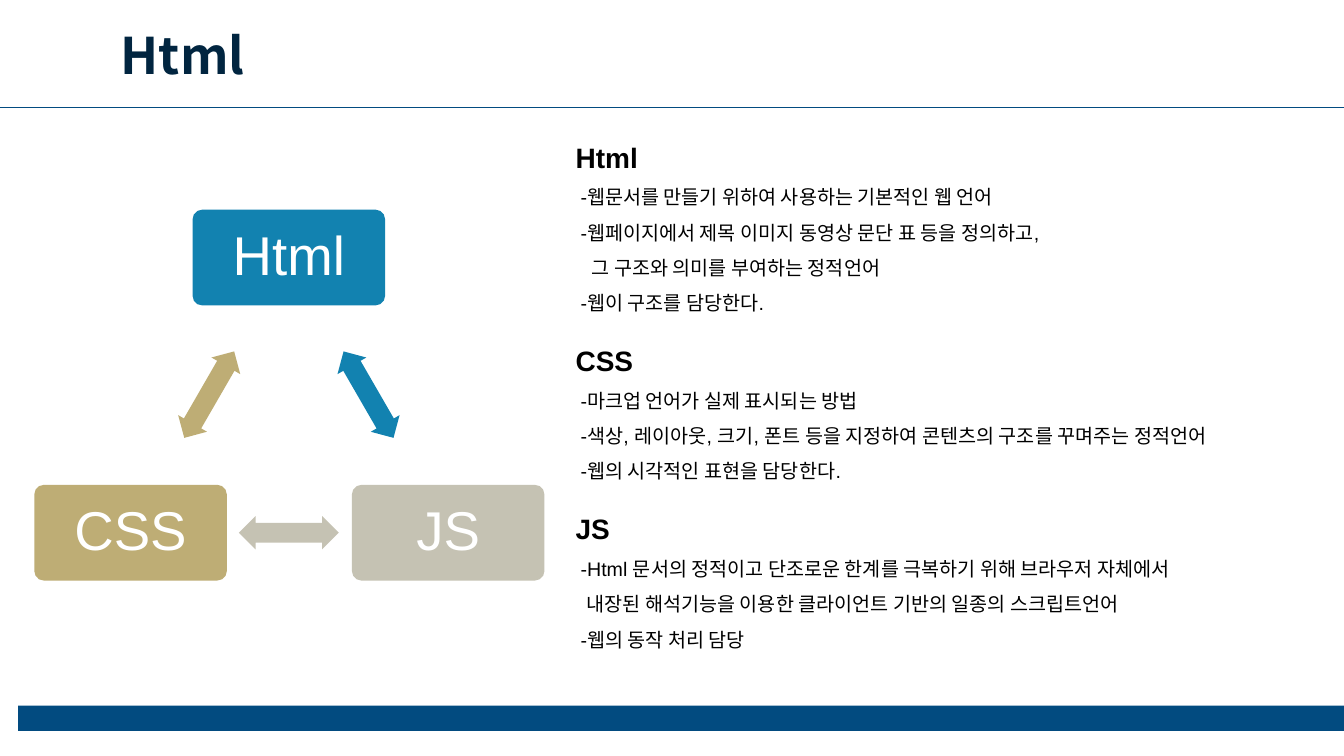
from lxml import etree
from pptx import Presentation
from pptx.dml.color import RGBColor
from pptx.enum.shapes import MSO_CONNECTOR, MSO_SHAPE
from pptx.enum.text import MSO_ANCHOR, PP_ALIGN
from pptx.oxml.ns import qn
from pptx.util import Inches, Pt

RECT = MSO_SHAPE.RECTANGLE
ROUNDED = MSO_SHAPE.ROUNDED_RECTANGLE
DOUBLE_ARROW = MSO_SHAPE.LEFT_RIGHT_ARROW
STRAIGHT = MSO_CONNECTOR.STRAIGHT
CENTER = PP_ALIGN.CENTER
MIDDLE = MSO_ANCHOR.MIDDLE

COLORS = {
    "title": "012540",
    "navy": "024B80",
    "blue": "1282B0",
    "gray": "C5C2B3",
    "gold": "BEAD75",
    "black": "000000",
    "white": "FFFFFF",
}
TITLE_FONT = "Noto Sans CJK KR"
BODY_FONT = "Arial"

SECTIONS = [
    ("Html", [
        (0.05, "-웹문서를 만들기 위하여 사용하는 기본적인 웹 언어"),
        (0.05, "-웹페이지에서 제목 이미지 동영상 문단 표 등을 정의하고,"),
        (0.16, "그 구조와 의미를 부여하는 정적언어"),
        (0.05, "-웹이 구조를 담당한다."),
    ]),
    ("CSS", [
        (0.05, "-마크업 언어가 실제 표시되는 방법"),
        (0.05, "-색상, 레이아웃, 크기, 폰트 등을 지정하여 콘텐츠의 구조를 꾸며주는 정적언어"),
        (0.05, "-웹의 시각적인 표현을 담당한다."),
    ]),
    ("JS", [
        (0.05, "-Html 문서의 정적이고 단조로운 한계를 극복하기 위해 브라우저 자체에서"),
        (0.11, "내장된 해석기능을 이용한 클라이언트 기반의 일종의 스크립트언어"),
        (0.05, "-웹의 동작 처리 담당"),
    ]),
]
NODES = [
    ("Html", 1.91, 2.08, "blue"),
    ("JS", 3.49, 4.81, "gray"),
    ("CSS", 0.34, 4.81, "gold"),
]
ARROWS = [
    (3.16, 3.75, 60, "blue"),
    (2.37, 5.12, 180, "gray"),
    (1.58, 3.75, 300, "gold"),
]


class SlideBuilder:
    def __init__(self, slide):
        self.slide = slide

    def color(self, name):
        return RGBColor.from_string(COLORS[name])

    def style(self, paragraph, size, color, font=BODY_FONT, bold=False):
        for run in paragraph.runs:
            run.font.name = font
            run.font.size = Pt(size)
            run.font.bold = bold
            run.font.color.rgb = self.color(color)

    def shape(self, kind, left, top, width, height, fill):
        shape = self.slide.shapes.add_shape(
            kind, Inches(left), Inches(top), Inches(width), Inches(height))
        shape.shadow.inherit = False
        shape.fill.solid()
        shape.fill.fore_color.rgb = self.color(fill)
        shape.line.fill.background()
        return shape

    def text_frame(self, left, top, width, height):
        frame = self.slide.shapes.add_textbox(
            Inches(left), Inches(top), Inches(width), Inches(height)).text_frame
        frame.word_wrap = True
        return frame

    def title(self, text):
        heading = self.text_frame(1.1, 0.19, 4.12, 0.71).paragraphs[0]
        heading.text = text
        self.style(heading, 36, "title", TITLE_FONT, True)

    def rule(self, top, width):
        rule = self.slide.shapes.add_connector(
            STRAIGHT, 0, Inches(top), Inches(width), Inches(top))
        rule.line.color.rgb = self.color("navy")
        rule.line.width = Pt(0.5)
        etree.SubElement(rule._element.spPr, qn("a:effectLst"))

    def sections(self, sections):
        frame = self.text_frame(5.61, 1.34, 7.35, 5.76)
        for index, (name, points) in enumerate(sections):
            heading = frame.add_paragraph() if index else frame.paragraphs[0]
            heading.text = name
            if index:
                heading.space_before = Pt(20.5)
            self.style(heading, 20, "black", bold=True)
            for indent, text in points:
                point = frame.add_paragraph()
                point.text = text
                point.line_spacing = 1.5
                properties = point._p.get_or_add_pPr()
                properties.set("marL", str(Inches(indent)))
                properties.set("indent", "0")
                self.style(point, 14, "black")

    def node(self, text, left, top, fill):
        node = self.shape(ROUNDED, left, top, 1.91, 0.95, fill)
        node.adjustments[0] = 0.1
        frame = node.text_frame
        frame.vertical_anchor = MIDDLE
        frame.text = text
        label = frame.paragraphs[0]
        label.alignment = CENTER
        label.line_spacing = 0.9
        self.style(label, 39, "white")

    def arrow(self, left, top, angle, fill):
        arrow = self.shape(DOUBLE_ARROW, left, top, 0.99, 0.33, fill)
        arrow.adjustments[0] = 0.6
        arrow.adjustments[1] = 0.5
        arrow.rotation = angle


def main():
    deck = Presentation()
    deck.slide_width = Inches(13.33)
    deck.slide_height = Inches(7.5)
    builder = SlideBuilder(deck.slides.add_slide(deck.slide_layouts[6]))
    builder.title("Html")
    builder.shape(RECT, 0.18, 7, 13.15, 0.25, "navy")
    builder.rule(1.07, 13.33)
    builder.sections(SECTIONS)
    for node in NODES:
        builder.node(*node)
    for arrow in ARROWS:
        builder.arrow(*arrow)
    deck.save("out.pptx")


if __name__ == "__main__":
    main()
